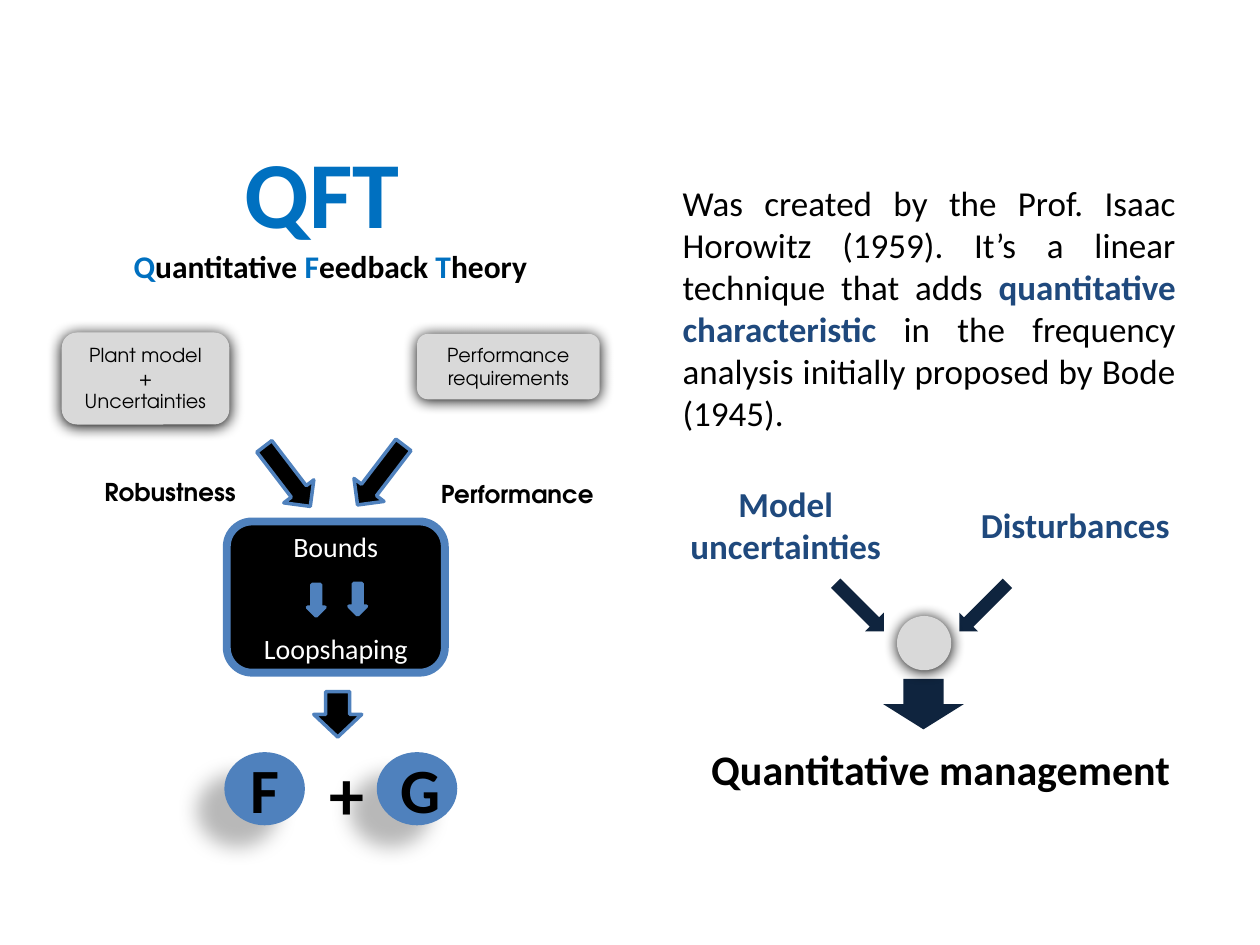
from dataclasses import dataclass

from lxml import etree
from pptx import Presentation
from pptx.dml.color import RGBColor
from pptx.enum.shapes import MSO_SHAPE
from pptx.enum.text import MSO_ANCHOR, MSO_AUTO_SIZE, PP_ALIGN
from pptx.oxml.ns import qn
from pptx.util import Pt

DOWN, OVAL = MSO_SHAPE.DOWN_ARROW, MSO_SHAPE.OVAL
ROUND, PROCESS = MSO_SHAPE.ROUNDED_RECTANGLE, MSO_SHAPE.FLOWCHART_ALTERNATE_PROCESS
LEFT, CENTER, JUSTIFY = PP_ALIGN.LEFT, PP_ALIGN.CENTER, PP_ALIGN.JUSTIFY
TOP, MIDDLE = MSO_ANCHOR.TOP, MSO_ANCHOR.MIDDLE
NO_FIT = MSO_AUTO_SIZE.NONE

COLORS = {
    "black": "000000", "white": "FFFFFF", "gray": "D9D9D9", "accent": "4F81BD",
    "blue": "0070C0", "navy": "1F497D", "dark": "0F243E",
}
BODY, DIAGRAM = "Calibri", "TeX Gyre Adventor"


@dataclass(frozen=True)
class Style:
    size: float
    font: str = BODY
    color: str = "black"
    bold: bool = False
    align: PP_ALIGN = CENTER


@dataclass(frozen=True)
class Shadow:
    alpha: int      # percent
    blur: float     # points
    distance: float
    angle: int      # degrees


@dataclass(frozen=True)
class Label:
    box: tuple[float, float, float, float]
    text: str
    style: Style


@dataclass(frozen=True)
class Block:
    kind: MSO_SHAPE
    box: tuple[float, float, float, float]
    fill: str
    line: float = 0
    rotation: float = 0
    shadow: Shadow | None = None
    lines: tuple[str, ...] = ()
    style: Style | None = None
    anchor: MSO_ANCHOR = MIDDLE
    gap: float = 0


GLOW = Shadow(100, 8.5, 1, 90)
CAST = Shadow(28, 11.8, 19.7, 141)
SMALL = Style(11, DIAGRAM)
CAPTION = Style(14, DIAGRAM, bold=True, align=LEFT)
LETTER = Style(36, bold=True)
CAUSE = Style(20, color="navy", bold=True)

BLOCKS = [
    # Right: causes leading to quantitative management
    Block(DOWN, (504.7, 388, 46, 28.8), "dark"),
    Block(DOWN, (554.4, 327.6, 15.1, 38.9), "dark", rotation=45),
    Block(DOWN, (483.8, 327.6, 15.1, 38.9), "dark", rotation=315),
    Block(OVAL, (512.6, 352, 31, 31), "gray", shadow=GLOW),
    # Left: design inputs
    Block(ROUND, (35.3, 190, 95.8, 52.6), "gray", shadow=GLOW, style=SMALL, anchor=TOP,
          lines=("Plant model", "+", "Uncertainties")),
    Block(ROUND, (238.3, 190.8, 104.4, 37.4), "gray", shadow=GLOW, style=SMALL, anchor=TOP,
          lines=("Performance requirements",)),
    Block(DOWN, (206.6, 249.8, 21.6, 43.2), "black", 2, rotation=37.4),
    Block(DOWN, (153.4, 250.6, 21.6, 43.2), "black", 2, rotation=322.6),
    # Left: design process and results
    Block(PROCESS, (129.6, 298, 124.6, 86.4), "black", 4.5, style=Style(16, color="white"),
          lines=("Bounds", "Loopshaping"), gap=39),
    Block(DOWN, (175.7, 334, 10, 18), "accent", 2),
    Block(DOWN, (199.4, 333.4, 10, 18), "accent", 2),
    Block(DOWN, (179.3, 395.3, 27.4, 25.9), "black", 2),
    Block(OVAL, (128.2, 429.8, 46, 41.8), "accent", shadow=CAST, lines=("F",), style=LETTER),
    Block(OVAL, (215.3, 429.8, 46, 41.8), "accent", shadow=CAST, lines=("G",), style=LETTER),
]

LABELS = [
    Label((376.6, 421.2, 321.8, 36), "Quantitative management", Style(24, bold=True)),
    Label((383.8, 272.2, 130.3, 55.4), "Model uncertainties", CAUSE),
    Label((550.8, 284.4, 127.4, 31.7), "Disturbances", CAUSE),
    Label((244.8, 270, 106.6, 24.5), "Performance", CAPTION),
    Label((52.6, 269.3, 95.8, 24.5), "Robustness", CAPTION),
    Label((181.4, 425.5, 20.9, 55.4), "+", Style(40, bold=True)),
]


def rgb(name: str) -> RGBColor:
    return RGBColor.from_string(COLORS[name])


def format_paragraph(p, style: Style) -> None:
    p.alignment = style.align
    p.font.size, p.font.name, p.font.bold = Pt(style.size), style.font, style.bold
    p.font.color.rgb = rgb(style.color)


def add_shadow(sp, shadow: Shadow) -> None:
    sp_pr = sp._element.spPr
    effects = sp_pr.find(qn("a:effectLst"))
    outer = etree.SubElement(
        effects, qn("a:outerShdw"), blurRad=str(Pt(shadow.blur)),
        dist=str(Pt(shadow.distance)), dir=str(shadow.angle * 60000),
        algn="ctr", rotWithShape="0")
    color = etree.SubElement(outer, qn("a:srgbClr"), val=COLORS["black"])
    etree.SubElement(color, qn("a:alpha"), val=str(shadow.alpha * 1000))


def draw_block(s, block: Block) -> None:
    sp = s.shapes.add_shape(block.kind, *map(Pt, block.box))
    sp.rotation = block.rotation
    sp.fill.solid()
    sp.fill.fore_color.rgb = rgb(block.fill)
    if block.line:
        sp.line.color.rgb, sp.line.width = rgb("accent"), Pt(block.line)
    else:
        sp.line.fill.background()
    sp.shadow.inherit = False
    if block.shadow:
        add_shadow(sp, block.shadow)
    tf = sp.text_frame
    tf.vertical_anchor = block.anchor
    for i, line in enumerate(block.lines):
        p = tf.add_paragraph() if i else tf.paragraphs[0]
        p.text = line
        format_paragraph(p, block.style)
        if i and block.gap:
            p.space_before = Pt(block.gap)


def add_text(s, box: tuple[float, ...], style: Style):
    tf = s.shapes.add_textbox(*map(Pt, box)).text_frame
    tf.word_wrap = True
    format_paragraph(tf.paragraphs[0], style)
    return tf.paragraphs[0]


def add_runs(p, runs: list[tuple[str, str, bool]]) -> None:
    for text, color, bold in runs:
        r = p.add_run()
        r.text, r.font.bold = text, bold
        r.font.color.rgb = rgb(color)


def main() -> None:
    prs = Presentation()
    prs.slide_width, prs.slide_height = Pt(720), Pt(540)
    s = prs.slides.add_slide(prs.slide_layouts[5])

    # Title and its expansion
    title = s.shapes.title
    title.left, title.top, title.width, title.height = map(Pt, (132.5, 40.3, 103.7, 105.1))
    tf = title.text_frame
    tf.text = "QFT"
    tf.word_wrap, tf.auto_size, tf.vertical_anchor = False, NO_FIT, TOP
    format_paragraph(tf.paragraphs[0], Style(54, color="blue", bold=True, align=LEFT))
    tf.paragraphs[0].line_spacing = 1.5

    p = add_text(s, (52.6, 126.7, 272.2, 40.3), Style(18, bold=True))
    p.line_spacing = 1.5
    for initial, rest in (("Q", "uantitative "), ("F", "eedback "), ("T", "heory")):
        add_runs(p, [(initial, "blue", True), (rest, "black", True)])

    # Description
    p = add_text(s, (383, 100, 296, 152.6), Style(20, align=JUSTIFY))
    add_runs(p, [
        ("Was created by the Prof. Isaac Horowitz (1959). It’s a linear technique that adds ",
         "black", False),
        ("quantitative characteristic ", "navy", True),
        ("in the frequency analysis initially proposed by Bode (1945).", "black", False),
    ])

    # Diagrams
    for block in BLOCKS:
        draw_block(s, block)
    for label in LABELS:
        add_text(s, label.box, label.style).text = label.text

    prs.save("out.pptx")


if __name__ == "__main__":
    main()
